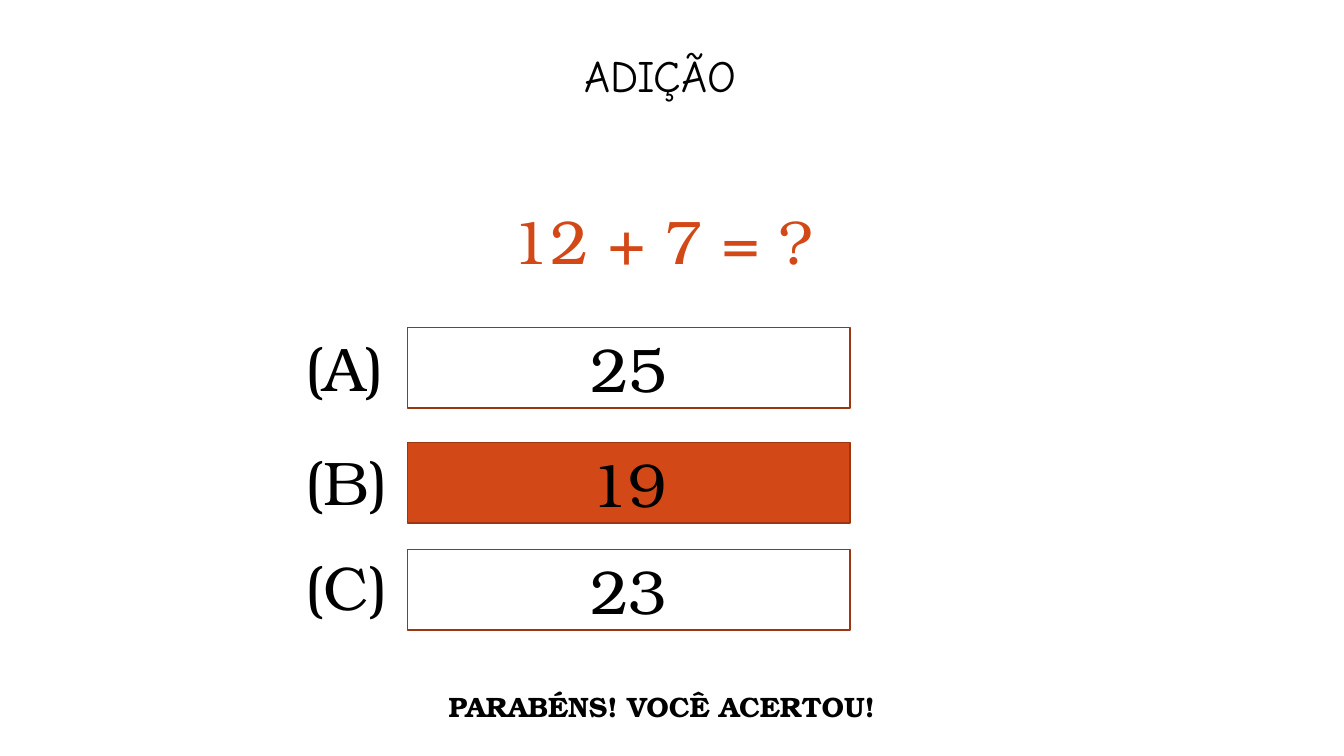
"""Build an addition quiz slide with three answer choices."""
from pptx import Presentation
from pptx.dml.color import RGBColor
from pptx.enum.shapes import MSO_SHAPE
from pptx.enum.text import MSO_ANCHOR, MSO_AUTO_SIZE, PP_ALIGN
from pptx.util import Inches, Pt

BLACK = RGBColor(0x00, 0x00, 0x00)
WHITE = RGBColor(0xFF, 0xFF, 0xFF)
ORANGE = RGBColor(0xD3, 0x48, 0x17)
RUST = RGBColor(0x9C, 0x35, 0x11)
SERIF = "TeX Gyre Bonum"
COMIC = "Comic Neue"

CHOICES = [
    ("(A)", "25", 3.22, 3.25, WHITE),
    ("(B)", "19", 4.36, 4.39, ORANGE),
    ("(C)", "23", 5.4, 5.45, WHITE),
]


def write(shape, text, size, color=BLACK, face=SERIF, align=PP_ALIGN.LEFT,
          anchor=MSO_ANCHOR.TOP, bold=False):
    frame = shape.text_frame
    frame.text = text
    frame.word_wrap = True
    frame.auto_size = MSO_AUTO_SIZE.NONE
    frame.vertical_anchor = anchor
    line = frame.paragraphs[0]
    line.alignment = align
    font = line.runs[0].font
    font.name = face
    font.size = Pt(size)
    font.bold = bold
    font.color.rgb = color


def add_title(slide, text):
    title = slide.shapes.title
    title.left, title.top = Inches(2.54), Inches(0.42)
    title.width, title.height = Inches(8.02), Inches(0.64)
    write(title, text, 32, face=COMIC, align=PP_ALIGN.CENTER)


def add_text(slide, text, left, top, width, height, size, **style):
    box = slide.shapes.add_textbox(
        Inches(left), Inches(top), Inches(width), Inches(height))
    write(box, text, size, **style)


def add_answer(slide, text, top, fill):
    box = slide.shapes.add_shape(
        MSO_SHAPE.RECTANGLE,
        Inches(4.04), Inches(top), Inches(4.39), Inches(0.8))
    box.shadow.inherit = False
    box.fill.solid()
    box.fill.fore_color.rgb = fill
    box.line.color.rgb = RUST
    box.line.width = Pt(1)
    write(box, text, 44, align=PP_ALIGN.CENTER, anchor=MSO_ANCHOR.MIDDLE)


def main():
    deck = Presentation()
    deck.slide_width, deck.slide_height = Inches(13.33), Inches(7.5)
    slide = deck.slides.add_slide(deck.slide_layouts[5])
    add_title(slide, "ADIÇÃO")
    add_text(slide, "12 + 7 = ?", 4.98, 1.96, 5.56, 0.84, 44, color=ORANGE)
    for label, answer, label_top, box_top, fill in CHOICES:
        add_answer(slide, answer, box_top, fill)
        add_text(slide, label, 2.93, label_top, 1.32, 0.84, 44)
    add_text(slide, "PARABÉNS! VOCÊ ACERTOU!", 4.35, 6.79, 4.51, 0.44, 20,
             bold=True)
    deck.save("out.pptx")


if __name__ == "__main__":
    main()
